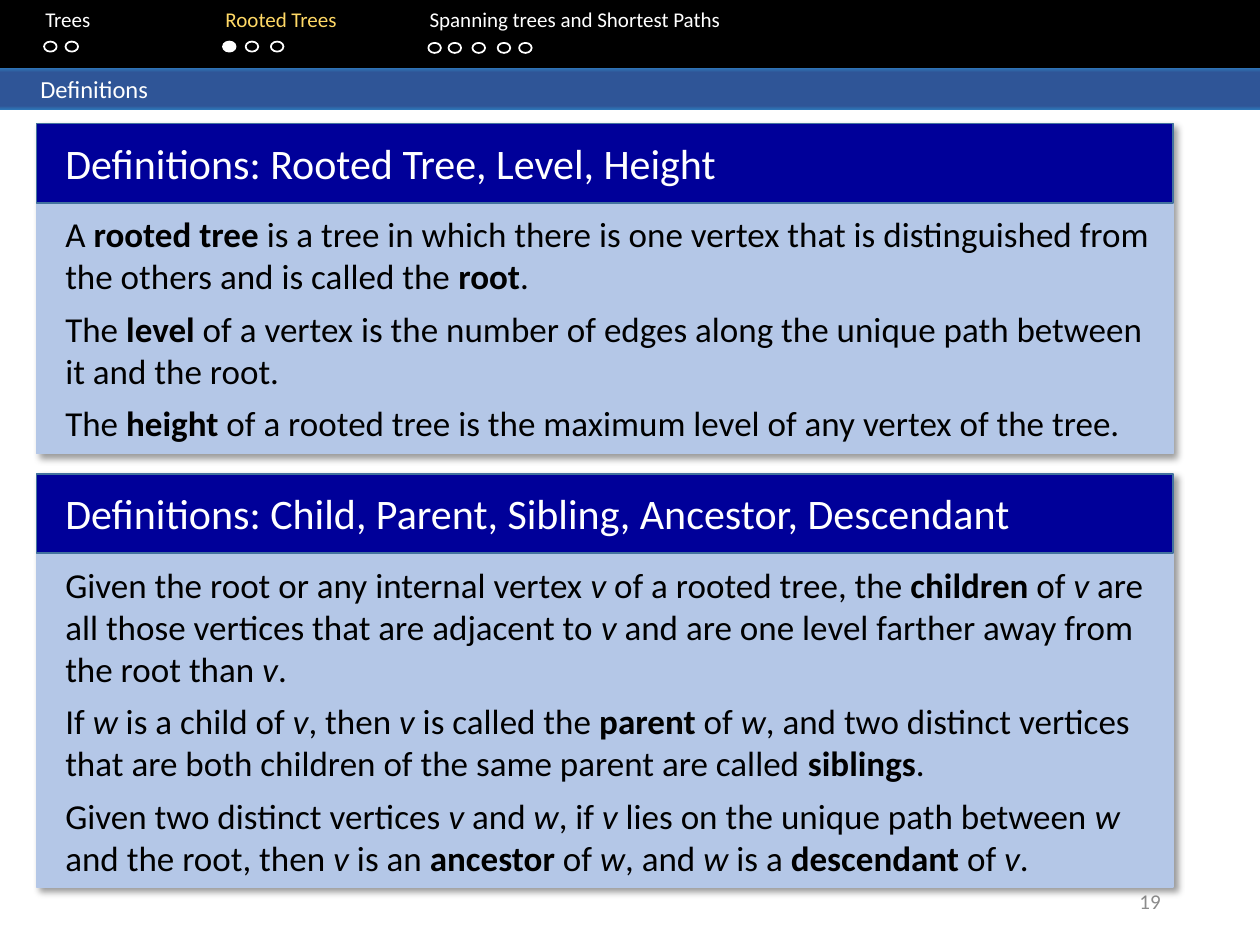
"""Build the rooted tree definitions slide."""
from pptx import Presentation
from pptx.dml.color import RGBColor
from pptx.enum.shapes import MSO_SHAPE
from pptx.enum.text import MSO_ANCHOR, MSO_AUTO_SIZE, PP_ALIGN
from pptx.oxml import parse_xml
from pptx.oxml.ns import nsdecls, qn
from pptx.util import Inches, Pt

HUES = {
    "black": "000000", "white": "FFFFFF", "gold": "FFD966", "gray": "8C8C8C",
    "edge": "2E75B6", "mid": "2F5597", "pale": "B4C7E7", "navy": "000099",
    "rim": "43739E",
}


def add_shape(parent, kind, place, fill=None, line=None):
    shape = parent.add_shape(kind, *map(Inches, place))
    shape.shadow.inherit = False
    for part, hue in ((shape.fill, fill), (shape.line.fill, line)):
        if hue:
            part.solid()
            part.fore_color.rgb = RGBColor.from_string(HUES[hue])
        else:
            part.background()
    if line:
        shape.line.width = Pt(1)
    return shape


def set_font(para, size, hue):
    para.font.name = "Calibri"
    para.font.size = Pt(size)
    para.font.color.rgb = RGBColor.from_string(HUES[hue])


deck = Presentation()
deck.slide_width, deck.slide_height = Inches(10), Inches(7.5)
slide = deck.slides.add_slide(deck.slide_layouts[6])
shapes = slide.shapes

add_shape(shapes, MSO_SHAPE.RECTANGLE, (0, -0.02, 10, 0.56), "black")
frame = shapes.add_textbox(0, 0, Inches(10), Inches(0.5)).text_frame
frame.word_wrap = True
frame.margin_left = Inches(0.36)
para = frame.paragraphs[0]
stops = "".join(f'<a:tab pos="{Inches(x)}" algn="l"/>' for x in (1.43, 3.05))
para._p.get_or_add_pPr().append(
    parse_xml(f'<a:tabLst {nsdecls("a")}>{stops}</a:tabLst>'))
set_font(para, 12, "white")
para.add_run().text = "Trees\t"
run = para.add_run()
run.text = "Rooted Trees"
run.font.color.rgb = RGBColor.from_string(HUES["gold"])
para.add_run().text = "\tSpanning trees and Shortest Paths"

dots = [
    (0.33, (0.35, 0.52)),
    (0.33, (1.77, 1.95, 2.15)),
    (0.34, (3.4, 3.56, 3.75, 3.95, 4.12)),
]
for top, lefts in dots:
    for left in lefts:
        fill = "white" if left == 1.77 else None
        add_shape(shapes, MSO_SHAPE.OVAL, (left, top, 0.1, 0.08), fill, "white")

bar = add_shape(shapes, MSO_SHAPE.RECTANGLE, (0, 0.54, 10, 0.33))
props = bar._element.spPr
props.remove(props.find(qn("a:noFill")))
stops = "".join(
    f'<a:gs pos="{pos * 1000}"><a:srgbClr val="{HUES[hue]}"/></a:gs>'
    for pos, hue in ((0, "edge"), (11, "mid"), (91, "mid"), (100, "edge")))
props.insert(2, parse_xml(
    f'<a:gradFill {nsdecls("a")}><a:gsLst>{stops}</a:gsLst>'
    '<a:lin ang="5400000" scaled="0"/></a:gradFill>'))
frame = bar.text_frame
frame.margin_left = Inches(0.32)
frame.vertical_anchor = MSO_ANCHOR.MIDDLE
para = frame.paragraphs[0]
para.text = "Definitions"
para.alignment = PP_ALIGN.LEFT
set_font(para, 14, "white")

frame = shapes.add_textbox(
    Inches(7.06), Inches(6.95), Inches(2.25), Inches(0.4)).text_frame
frame.word_wrap = True
frame.vertical_anchor = MSO_ANCHOR.MIDDLE
para = frame.paragraphs[0]
para.text = "19"
para.alignment = PP_ALIGN.RIGHT
set_font(para, 12, "gray")

blocks = [
    (0.98, 2.62, "Definitions: Rooted Tree, Level, Height", [
        "A *rooted tree *is a tree in which there is one vertex that is "
        "distinguished from the others and is called the *root*.",
        "The *level* of a vertex is the number of edges along the unique "
        "path between it and the root.",
        "The *height* of a rooted tree is the maximum level of any vertex "
        "of the tree.",
    ]),
    (3.76, 3.28, "Definitions: Child, Parent, Sibling, Ancestor, Descendant", [
        "Given the root or any internal vertex _v_ of a rooted tree, the "
        "*children *of _v_ are all those vertices that are adjacent to _v_ "
        "and are one level farther away from the root than _v_.",
        "If _w_ is a child of _v_, then _v_ is called the *parent* of _w_, "
        "and two distinct vertices that are both children of the same "
        "parent are called *siblings*.",
        "Given two distinct vertices _v_ and _w_, if _v_ lies on the unique "
        "path between _w_ and the root, then _v_ is an *ancestor* of _w_, "
        "and _w_ is a *descendant* of _v_.",
    ]),
]
for top, height, title, body in blocks:
    group = shapes.add_group_shape().shapes
    panel = add_shape(
        group, MSO_SHAPE.RECTANGLE, (0.29, top, 9.02, height), "pale", "pale")
    panel._element.spPr.find(qn("a:effectLst")).append(parse_xml(
        f'<a:outerShdw {nsdecls("a")} blurRad="{Pt(4)}" dist="{Pt(3)}" '
        'dir="2700000" algn="tl" rotWithShape="0">'
        f'<a:srgbClr val="{HUES["black"]}"><a:alpha val="40000"/></a:srgbClr>'
        '</a:outerShdw>'))
    add_shape(group, MSO_SHAPE.RECTANGLE, (0.29, top, 9.02, 0.63), "navy", "rim")
    texts = [
        (0.06, 8.53, 0.5, [title], 24, "white", 0),
        (0.66, 8.9, height - 0.66, body, 20, "black", 6),
    ]
    for drop, wide, tall, lines, size, hue, gap in texts:
        frame = group.add_textbox(
            Inches(0.42), Inches(top + drop), Inches(wide), Inches(tall)).text_frame
        frame.word_wrap = True
        frame.auto_size = MSO_AUTO_SIZE.SHAPE_TO_FIT_TEXT
        for i, line in enumerate(lines):
            para = frame.add_paragraph() if i else frame.paragraphs[0]
            para.space_after = Pt(gap)
            set_font(para, size, hue)
            for j, chunk in enumerate(line.split("*")):
                for k, piece in enumerate(chunk.split("_")):
                    if piece:
                        run = para.add_run()
                        run.text = piece
                        run.font.bold = True if j % 2 else None
                        run.font.italic = True if k % 2 else None

deck.save("out.pptx")
